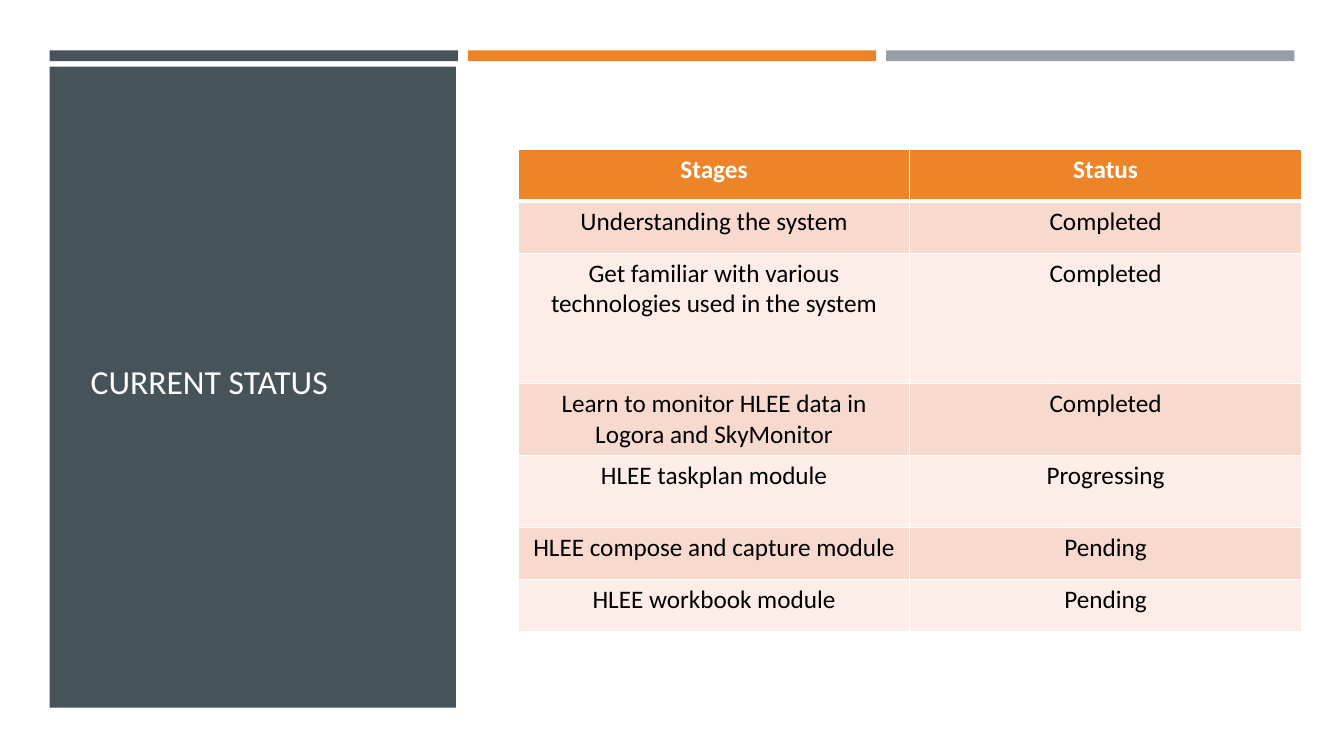
from lxml.etree import SubElement
from pptx import Presentation
from pptx.dml.color import RGBColor as RGB
from pptx.enum.shapes import MSO_SHAPE as SHAPE
from pptx.enum.text import MSO_ANCHOR as ANCHOR, PP_ALIGN as ALIGN
from pptx.oxml.ns import qn
from pptx.util import Cm, Pt

THEME = {
    "font": "Calibri", "title": 24, "body": 18,
    "slate": "465359", "orange": "ED8428", "grey": "969FA7",
    "white": "FFFFFF", "black": "000000", "bands": ("F8D9CD", "FCEDE8"),
}


def style(p, size, color, align, bold=False):
    p.alignment = align
    font = p.runs[0].font
    font.color.rgb = RGB.from_string(THEME[color])
    for name, value in {"name": THEME["font"], "size": Pt(THEME[size]), "bold": bold}.items():
        setattr(font, name, value)


def border(cell, side, width):
    ln = SubElement(cell._tc.get_or_add_tcPr(), qn(f"a:{side}"), w=str(Pt(width)))
    fill = SubElement(ln, qn("a:solidFill"))
    SubElement(fill, qn("a:srgbClr"), val=THEME["white"])


prs = Presentation()
prs.slide_width, prs.slide_height = Cm(33.87), Cm(19.05)
s = prs.slides.add_slide(prs.slide_layouts[5])

left, bar_w, bar_step = 1.25, 10.29, 10.54
blocks = [(left + i * bar_step, 1.27, bar_w, 0.27, color)
          for i, color in enumerate(("slate", "orange", "grey"))]
blocks.append((left, 1.68, 10.24, 16.15, "slate"))
for x, y, w, h, color in blocks:
    sp = s.shapes.add_shape(SHAPE.RECTANGLE, Cm(x), Cm(y), Cm(w), Cm(h))
    sp.shadow.inherit = False
    sp.fill.solid()
    sp.fill.fore_color.rgb = RGB.from_string(THEME[color])
    sp.line.fill.background()

title = s.shapes.title
s.shapes._spTree.append(title._element)
for name, value in {"left": 2.03, "top": 4.8, "width": 8.43, "height": 5.44}.items():
    setattr(title, name, Cm(value))
tf = title.text_frame
tf.text = "CURRENT STATUS"
tf.word_wrap = True
tf.vertical_anchor = ANCHOR.BOTTOM
style(tf.paragraphs[0], "title", "white", ALIGN.LEFT)

rows = [
    ("Stages", "Status", 1.31),
    ("Understanding the system", "Completed", 1.31),
    ("Get familiar with various technologies used in the system", "Completed", 3.28),
    ("Learn to monitor HLEE data in Logora and SkyMonitor", "Completed", 1.82),
    ("HLEE taskplan module", "Progressing", 1.82),
    ("HLEE compose and capture module", "Pending", 1.31),
    ("HLEE workbook module", "Pending", 1.31),
]
col_w = 9.87
table = s.shapes.add_table(len(rows), 2, Cm(13.06), Cm(3.76), Cm(2 * col_w),
                           Cm(sum(row[-1] for row in rows))).table
for col in table.columns:
    col.width = Cm(col_w)
for i, (*texts, height) in enumerate(rows):
    table.rows[i].height = Cm(height)
    head = i == 0
    for j, text in enumerate(texts):
        cell = table.cell(i, j)
        cell.text = text
        style(cell.text_frame.paragraphs[0], "body", "white" if head else "black",
              ALIGN.CENTER, head)
        for side in ("lnL", "lnR", "lnT", "lnB"):
            thick = (head and side == "lnB") or (i == 1 and side == "lnT")
            border(cell, side, 3 if thick else 1)
        cell.fill.solid()
        color = THEME["orange"] if head else THEME["bands"][(i - 1) % 2]
        cell.fill.fore_color.rgb = RGB.from_string(color)

prs.save("out.pptx")
